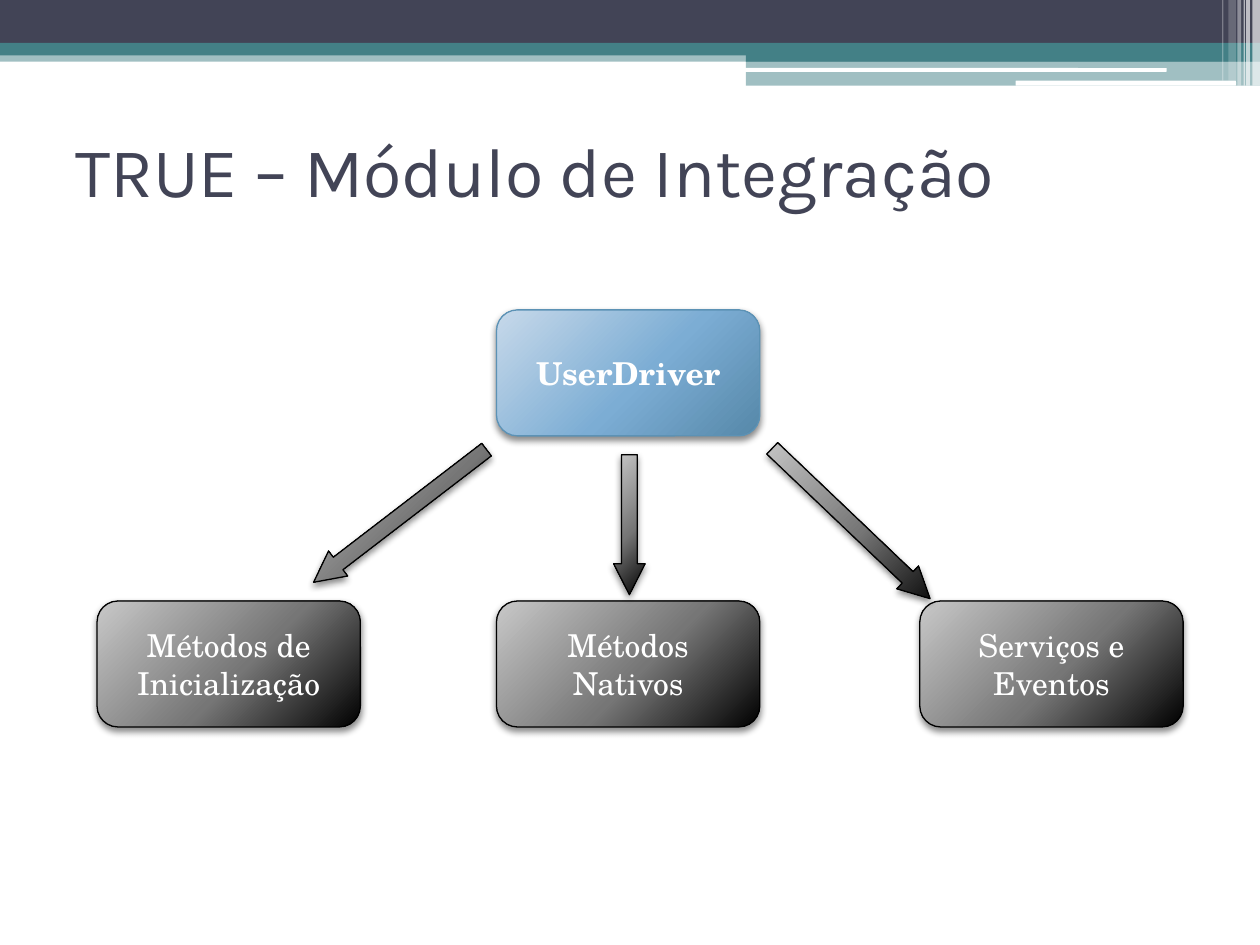
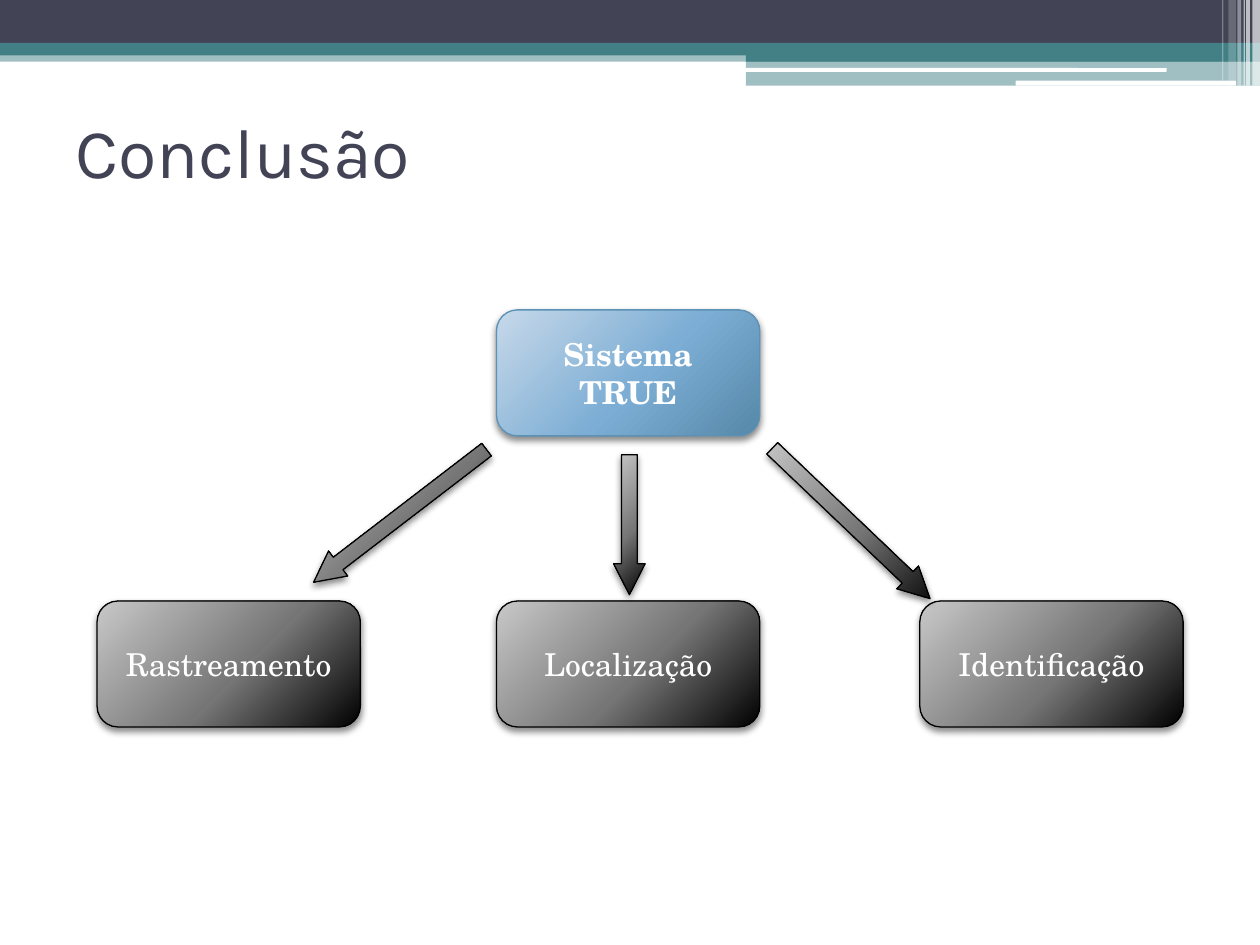
from lxml.etree import SubElement
from pptx import Presentation
from pptx.dml.color import RGBColor
from pptx.enum.shapes import MSO_SHAPE
from pptx.enum.text import MSO_ANCHOR, PP_ALIGN
from pptx.oxml import parse_xml
from pptx.oxml.ns import nsdecls, qn
from pptx.util import Inches, Pt

NAVY, TEAL, WHITE, BLACK = "424456", "438086", "FFFFFF", "000000"
BLUE = {"stops": ("C7D9EA", "7CADD4", "5688A9"), "line": "5C92B5"}
GREY = {"stops": ("C8C8C8", "767676", "000000"), "line": BLACK}

HEAD = {"name": "Karla", "size": Pt(40)}
BODY = {"name": "TeX Gyre Schola", "size": Pt(18), "bold": False}
ROOT = {**BODY, "bold": True}
FRAME = {"word_wrap": True, "vertical_anchor": MSO_ANCHOR.MIDDLE}

RECT, ROUND = MSO_SHAPE.RECTANGLE, MSO_SHAPE.ROUNDED_RECTANGLE
NODE_W, NODE_H = 2.09, 1
ARROW_H = 0.25

# Header parts: left, top, width, height, colour, opacity, shape
BANDS = [
    (0, 0.4, 10, 0.09, TEAL, 50, RECT),
    (0, 0, 10, 0.34, NAVY, 100, RECT),
    (0, 0.34, 10, 0.1, TEAL, 100, RECT),
    (5.92, 0.39, 4.08, 0.1, TEAL, 100, RECT),
    (5.92, 0.48, 4.08, 0.2, TEAL, 50, RECT),
    (5.91, 0.54, 3.35, 0.03, WHITE, 100, ROUND),
    (8.06, 0.64, 1.75, 0.04, WHITE, 100, ROUND),
]
# Stripes at the right end: left, width, height, opacity
STRIPES = [
    (9.94, 0.06, 0.68, 65), (9.89, 0.03, 0.68, 65), (9.87, 0.01, 0.68, 60),
    (9.82, 0.03, 0.68, 40), (9.75, 0.06, 0.64, 20), (9.7, 0.01, 0.64, 30),
]
# Places inside the tree: node lefts, then arrow left, top, width, turn
LEFTS = (0, 3.17, 6.53)
ARROWS = [(1.54, 1.51, 1.73, 142.5), (5.12, 1.57, 1.73, 43.6),
          (3.67, 1.58, 1.11, 90)]


def color(code):
    return RGBColor.from_string(code)


def apply(target, values):
    for name, value in values.items():
        setattr(target, name, value)


def add_part(slide, kind, left, top, width, height):
    part = slide.shapes.add_shape(
        kind, Inches(left), Inches(top), Inches(width), Inches(height))
    part.shadow.inherit = False
    return part


def add_band(slide, left, top, width, height, code, alpha, kind):
    band = add_part(slide, kind, left, top, width, height)
    band.fill.solid()
    band.fill.fore_color.rgb = color(code)
    band.line.fill.background()
    if alpha < 100:
        tint = band._element.spPr.find(".//" + qn("a:srgbClr"))
        SubElement(tint, qn("a:alpha"), val=str(alpha * 1000))


def add_glossy(slide, kind, box, look):
    """Shape with a circular gradient, a thin line and a soft shadow."""
    part = add_part(slide, kind, *box)
    part.line.color.rgb = color(look["line"])
    part.line.width = Pt(0.75)
    part.fill.background()
    props = part._element.spPr
    stops = "".join(
        f'<a:gs pos="{spot}000"><a:srgbClr val="{code}"/></a:gs>'
        for spot, code in zip((0, 55, 100), look["stops"]))
    props.replace(props.find(qn("a:noFill")), parse_xml(
        f'<a:gradFill {nsdecls("a")} rotWithShape="1"><a:gsLst>{stops}</a:gsLst>'
        '<a:path path="circle"><a:fillToRect l="-40000" t="-90000" '
        'r="140000" b="190000"/></a:path></a:gradFill>'))
    props.find(qn("a:effectLst")).append(parse_xml(
        f'<a:outerShdw {nsdecls("a")} blurRad="{Pt(4)}" dist="{Pt(2)}" '
        f'dir="5400000" rotWithShape="0"><a:srgbClr val="{BLACK}">'
        '<a:alpha val="45000"/></a:srgbClr></a:outerShdw>'))
    return part


def write(part, text, font, code, align):
    frame = part.text_frame
    apply(frame, FRAME)
    line = frame.paragraphs[0]
    line.alignment = align
    run = line.add_run()
    run.text = text
    apply(run.font, font)
    run.font.color.rgb = color(code)


def add_header(slide, x, y):
    for left, top, *rest in BANDS:
        add_band(slide, x + left, y + top, *rest)
    for left, width, height, alpha in STRIPES:
        add_band(slide, x + left, y, width, height, WHITE, alpha, RECT)


def add_title(slide, text, left, top, width, height):
    box = slide.shapes.add_textbox(
        Inches(left), Inches(top), Inches(width), Inches(height))
    write(box, text, HEAD, NAVY, PP_ALIGN.LEFT)


def add_tree(slide, root, leaves, x, y):
    # Root above the middle leaf, then the row of leaves
    nodes = [(root, LEFTS[1], 0, BLUE, ROOT)]
    nodes += [(leaf, left, 2.31, GREY, BODY)
              for leaf, left in zip(leaves, LEFTS)]
    for text, left, top, look, font in nodes:
        box = (x + left, y + top, NODE_W, NODE_H)
        node = add_glossy(slide, ROUND, box, look)
        write(node, text, font, WHITE, PP_ALIGN.CENTER)
    # Block arrows from root to leaves
    for left, top, width, turn in ARROWS:
        box = (x + left, y + top, width, ARROW_H)
        arrow = add_glossy(slide, MSO_SHAPE.RIGHT_ARROW, box, GREY)
        arrow.adjustments[1] = 0.98
        arrow.rotation = turn


def add_page(deck, title, top, root, leaves):
    slide = deck.slides.add_slide(deck.slide_layouts[6])
    add_header(slide, 0, 0)
    add_title(slide, title, 0.5, top, 9, 1.17)
    add_tree(slide, root, leaves, 0.77, 2.46)


def main():
    deck = Presentation()
    apply(deck, {"slide_width": Inches(10), "slide_height": Inches(7.5)})
    add_page(deck, "TRUE – Módulo de Integração", 0.76, "UserDriver",
             ("Métodos de Inicialização", "Métodos Nativos",
              "Serviços e Eventos"))
    add_page(deck, "Conclusão", 0.61, "Sistema TRUE",
             ("Rastreamento", "Localização", "Identificação"))
    deck.save("out.pptx")


if __name__ == "__main__":
    main()
